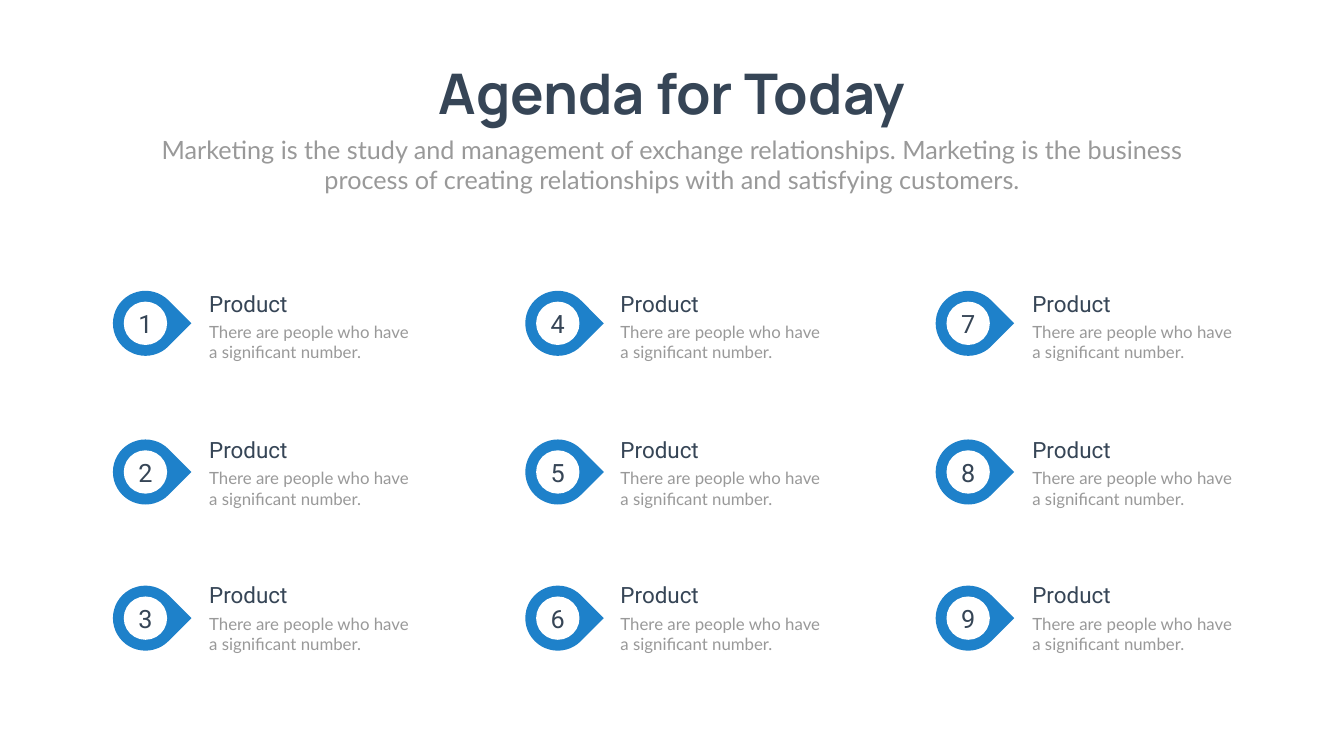
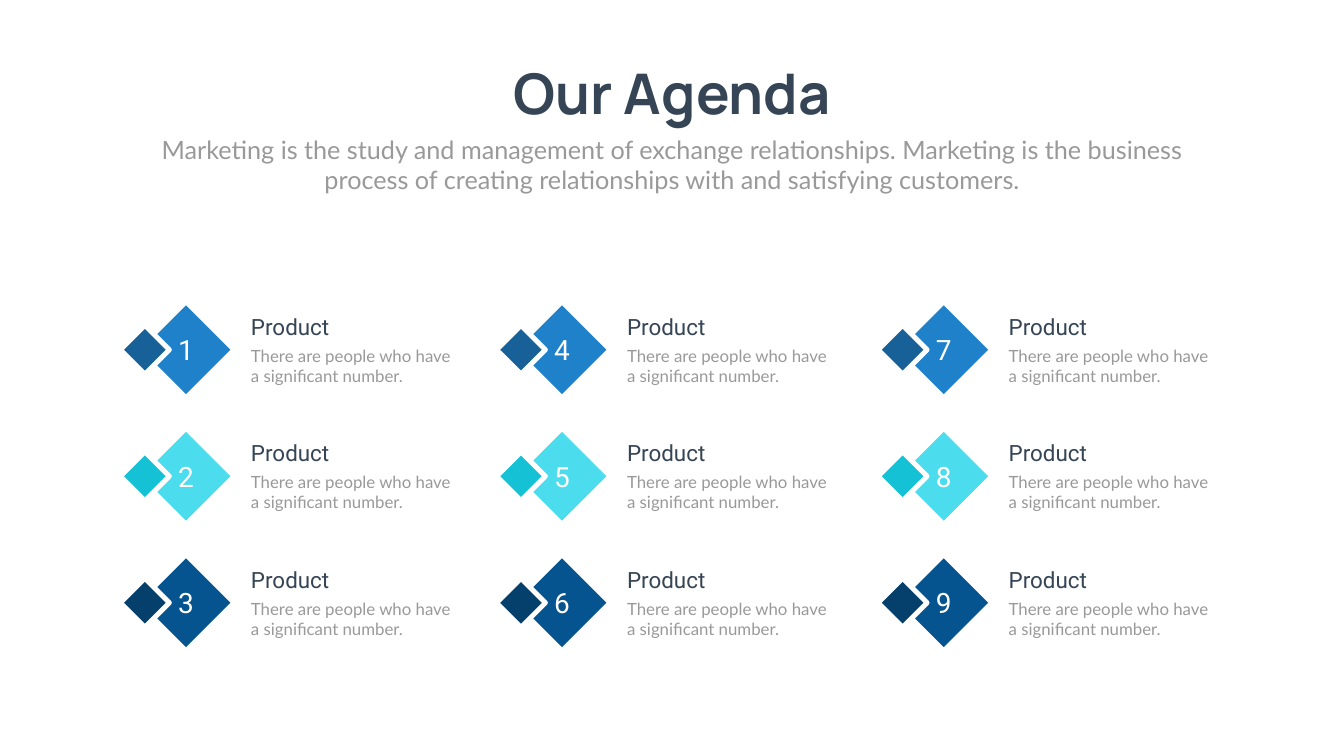
from itertools import product
from pptx import Presentation
from pptx.dml.color import RGBColor
from pptx.enum.shapes import MSO_SHAPE as Shape
from pptx.enum.text import MSO_ANCHOR as Anchor, MSO_AUTO_SIZE as Fit, PP_ALIGN as Align
from pptx.util import Emu, Pt

PX = 9144
WIDE, HIGH = 2666, 1500
INK, GRAY, WHITE, BLUE = "364556", "999999", "FFFFFF", "1E81CA"
HEAD, BODY, LABEL = "Manrope", "Lato", "Roboto"
INTRO = ("Marketing is the study and management of exchange relationships. "
         "Marketing is the business process of creating relationships with and "
         "satisfying customers.")
NAME = "Product"
NOTE = "There are people who have a significant number."
TONES = [(BLUE, "176198"), ("4BDCED", "15C1D5"), ("06548F", "053F6B")]


def px(*sizes):
    """Turn pixel lengths into EMU."""
    return [Emu(round(size * PX)) for size in sizes]


def color(code):
    """Return the colour of a hex string."""
    return RGBColor.from_string(code)


def write(frame, text, size, font, tone, align=Align.LEFT, bold=False):
    """Write one run into the first paragraph of a frame."""
    para = frame.paragraphs[0]
    para.alignment = align
    run = para.add_run()
    run.text = text
    run.font.size, run.font.name, run.font.bold = Pt(size), font, bold
    run.font.color.rgb = color(tone)


def add_text(shapes, box, text, size, font, tone, align=Align.LEFT, bold=False, wrap=True):
    """Add a text box that grows with its text."""
    frame = shapes.add_textbox(*px(*box)).text_frame
    frame.word_wrap = wrap
    frame.auto_size = Fit.SHAPE_TO_FIT_TEXT
    write(frame, text, size, font, tone, align, bold)


def add_form(shapes, kind, box, fill, edge=None):
    """Add a flat preset shape, with a white edge if a width is given."""
    form = shapes.add_shape(kind, *px(*box))
    form.shadow.inherit = False
    form.fill.solid()
    form.fill.fore_color.rgb = color(fill)
    if edge:
        form.line.color.rgb = color(WHITE)
        form.line.width = Pt(edge)
    else:
        form.line.fill.background()
    return form


def add_digit(form, num, size, tone):
    """Centre a number in a shape."""
    frame = form.text_frame
    frame.vertical_anchor = Anchor.MIDDLE
    write(frame, str(num), size, LABEL, tone, Align.CENTER)


def add_header(slide, title, width):
    """Add the centred title and the intro below it."""
    add_text(slide.shapes, ((WIDE - width) / 2, 112, width, 145), title, 80, HEAD, INK,
             Align.CENTER, True, False)
    add_text(slide.shapes, (292, 261, 2082, 131), INTRO, 36, BODY, GRAY, Align.CENTER)


def add_label(slide, left, top):
    """Add a grouped product name and note."""
    shapes = slide.shapes.add_group_shape().shapes
    add_text(shapes, (left, top, 393, 64), NAME, 32, LABEL, INK)
    add_text(shapes, (left, top + 64, 437, 91), NOTE, 24, BODY, GRAY)


def add_drop(slide, left, top, num):
    """Add a grouped teardrop with a numbered disc."""
    shapes = slide.shapes.add_group_shape().shapes
    drop = add_form(shapes, Shape.TEAR, (left, top, 129, 129), BLUE)
    drop.rotation = 45
    disc = add_form(shapes, Shape.OVAL, (left + 21.5, top + 21.5, 86, 86), WHITE)
    add_digit(disc, num, 36, INK)


def add_gems(slide, left, top, num, tones):
    """Add a grouped numbered diamond and its small partner."""
    shapes = slide.shapes.add_group_shape().shapes
    large, small = tones
    gem = add_form(shapes, Shape.DIAMOND, (left, top, 176, 176), large)
    add_digit(gem, num, 40, WHITE)
    add_form(shapes, Shape.DIAMOND, (left - 42, top + 39.5, 97, 97), small, 7)


def drop_slide(slide):
    """Build the agenda with teardrop markers."""
    add_header(slide, "Agenda for Today", 1042)
    for left, top in product((405, 1221, 2038), (570, 860, 1149)):
        add_label(slide, left, top)
    spots = product((224, 1042, 1856), (577, 872, 1162))
    for num, (left, top) in enumerate(spots, 1):
        add_drop(slide, left, top, num)


def gem_slide(slide):
    """Build the agenda with diamond markers."""
    add_header(slide, "Our Agenda", 711)
    spots = product((281, 1027, 1784), range(3))
    for num, (left, row) in enumerate(spots, 1):
        top = 606 + 251 * row
        add_gems(slide, left, top, num, TONES[row])
        add_label(slide, left + 207, top + 10)


def main():
    """Build and save the deck."""
    deck = Presentation()
    deck.slide_width, deck.slide_height = px(WIDE, HIGH)
    for build in (drop_slide, gem_slide):
        build(deck.slides.add_slide(deck.slide_layouts[6]))
    deck.save("out.pptx")


if __name__ == "__main__":
    main()
